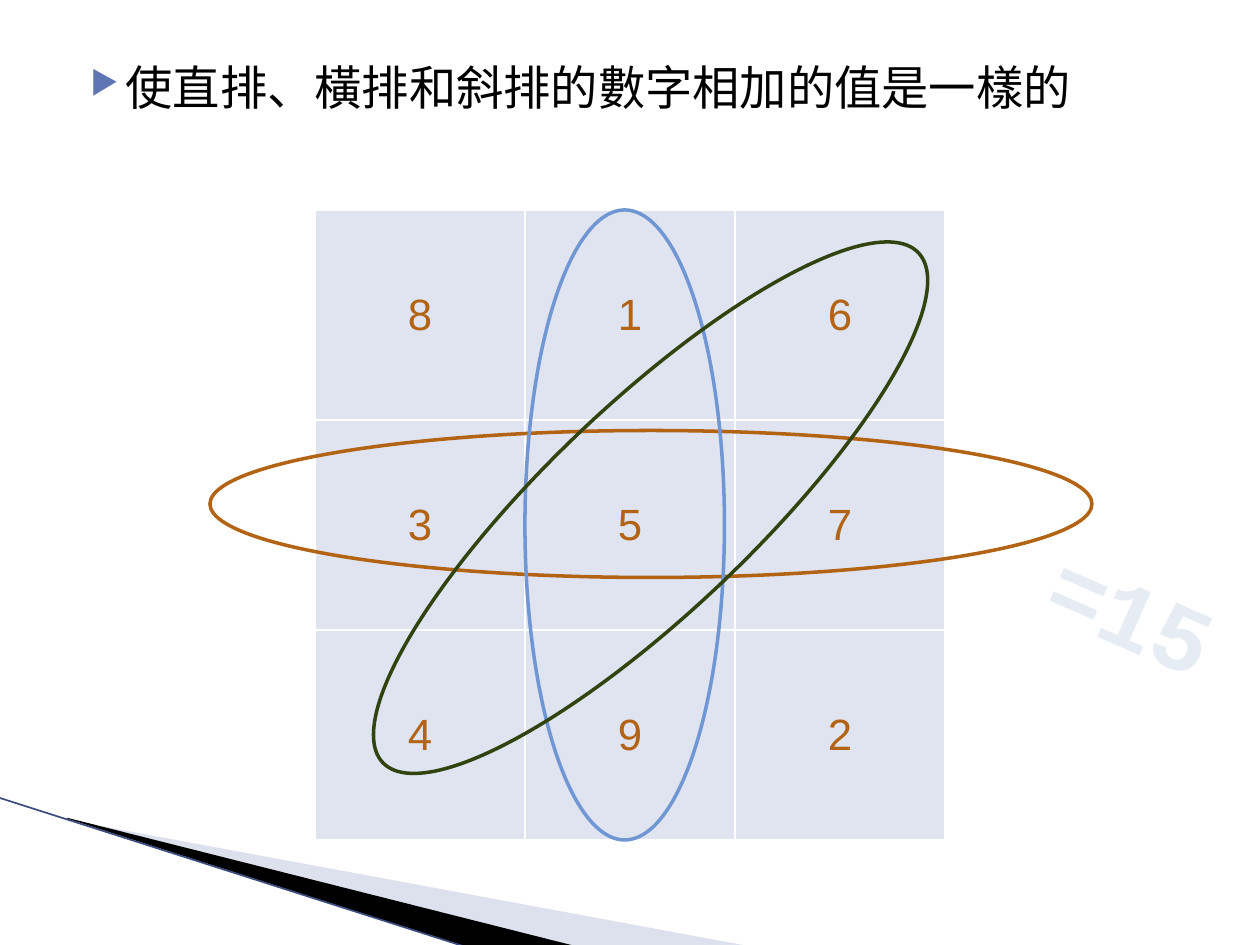
"""Build the magic square slide."""
import pptx
import pptx.util
import pptx.dml.color
import pptx.enum.shapes
import pptx.enum.text
import pptx.oxml
import pptx.oxml.ns

Pt = pptx.util.Pt
RGB = pptx.dml.color.RGBColor
SHAPE = pptx.enum.shapes.MSO_SHAPE
CENTER = pptx.enum.text.PP_ALIGN.CENTER
MIDDLE = pptx.enum.text.MSO_ANCHOR.MIDDLE
NS = pptx.oxml.ns.nsdecls("a")

BLACK = RGB(0x00, 0x00, 0x00)
WHITE = RGB(0xFF, 0xFF, 0xFF)
MIST = RGB(0xAC, 0xB4, 0xD5)
NAVY = RGB(0x3C, 0x4C, 0x80)
BLUE = RGB(0x60, 0x76, 0xB4)
PALE = RGB(0xDF, 0xE4, 0xF0)
RUST = RGB(0xB2, 0x63, 0x14)
ICE = RGB(0xE6, 0xEC, 0xF4)
SKY = RGB(0x70, 0x97, 0xD3)
OLIVE = RGB(0x31, 0x44, 0x10)

TITLE = "使直排、橫排和斜排的數字相加的值是一樣的"
SUM = "=15"
SQUARE = [(8, 1, 6), (3, 5, 7), (4, 9, 2)]
GRID = (180, 120, 360)
WEDGES = [
    ([(39.6, 468.7), (428.4, 540.7), (328.3, 540.7), (39.6, 468)], MIST, 40),
    ([(38.2, 467.3), (329, 540.7), (267.8, 541.4), (38.9, 468)], BLACK, 100),
]
EDGE = (-0.7, 455.8, 267.1, 541.4)
ROW_RING = ((120, 246, 504, 84), 0, RUST)
RINGS = [((300, 120, 114, 360), 0, SKY), ((160.5, 231, 422.6, 118.2), 316.4, OLIVE)]

TITLE_FONT = {"size": Pt(27), "name": "Courier New"}
CELL_FONT = {"size": Pt(25), "name": "Arial"}
SUM_FONT = {"size": Pt(54), "name": "Courier New", "bold": True}
CELL_FORM = {
    "vertical_anchor": MIDDLE,
    "margin_left": Pt(10),
    "margin_right": Pt(10),
    "margin_top": Pt(5),
    "margin_bottom": Pt(5),
}


def apply(item, form):
    for key, value in form.items():
        setattr(item, key, value)


def put(para, text, form, color):
    run = para.add_run()
    run.text = text
    apply(run.font, form)
    run.font.color.rgb = color


def add_wedge(shapes, points, color, alpha):
    spots = [(Pt(x), Pt(y)) for x, y in points]
    pen = shapes.build_freeform(*spots[0], scale=1.0)
    pen.add_line_segments(spots[1:], close=True)
    shape = pen.convert_to_shape()
    shape.shadow.inherit = False
    shape.fill.solid()
    shape.fill.fore_color.rgb = color
    shape.line.fill.background()
    if alpha < 100:
        tint = shape.fill._xPr.find(".//" + pptx.oxml.ns.qn("a:srgbClr"))
        tint.append(pptx.oxml.parse_xml(f'<a:alpha {NS} val="{alpha * 1000}"/>'))


def add_edge(shapes):
    line = shapes.add_connector(
        pptx.enum.shapes.MSO_CONNECTOR.STRAIGHT, *map(Pt, EDGE))
    line.line.color.rgb = NAVY
    line.line.width = Pt(0.95)
    line._element.spPr.append(pptx.oxml.parse_xml(f"<a:effectLst {NS}/>"))


def add_title(shapes):
    frame = shapes.add_textbox(*map(Pt, (36, 30, 648, 473))).text_frame
    frame.word_wrap = True
    para = frame.paragraphs[0]
    para.space_before = Pt(4)
    put(para, TITLE, TITLE_FONT, BLACK)
    props = para._p.get_or_add_pPr()
    props.set("marL", str(Pt(28.8)))
    props.set("indent", str(Pt(-20.2)))
    for part in (f'<a:buClr {NS}><a:srgbClr val="{BLUE}"/></a:buClr>',
                 f'<a:buSzPct {NS} val="68000"/>',
                 f'<a:buChar {NS} char="▶"/>'):
        props.append(pptx.oxml.parse_xml(part))


def add_square(shapes):
    left, top, side = GRID
    count = len(SQUARE)
    table = shapes.add_table(count, count, *map(Pt, (left, top, side, side))).table
    apply(table, {"first_row": False, "horz_banding": False})
    for row, values in enumerate(SQUARE):
        table.rows[row].height = table.columns[row].width = Pt(side / count)
        for col, value in enumerate(values):
            cell = table.cell(row, col)
            apply(cell, CELL_FORM)
            para = cell.text_frame.paragraphs[0]
            para.alignment = CENTER
            put(para, str(value), CELL_FONT, RUST)
            props = cell._tc.get_or_add_tcPr()
            for tag in ("lnL", "lnR", "lnT", "lnB"):
                props.append(pptx.oxml.parse_xml(
                    f'<a:{tag} {NS} w="{Pt(1)}"><a:solidFill>'
                    f'<a:srgbClr val="{WHITE}"/></a:solidFill></a:{tag}>'))
            cell.fill.solid()
            cell.fill.fore_color.rgb = PALE


def add_ring(shapes, box, turn, color):
    ring = shapes.add_shape(SHAPE.OVAL, *map(Pt, box))
    ring.shadow.inherit = False
    ring.rotation = turn
    ring.fill.background()
    ring.line.color.rgb = color
    ring.line.width = Pt(2)


def add_sum(shapes):
    box = shapes.add_textbox(*map(Pt, (584, 313.2, 126.7, 72.7)))
    box.rotation = 23.8
    box.text_frame.word_wrap = False
    para = box.text_frame.paragraphs[0]
    para.alignment = CENTER
    put(para, SUM, SUM_FONT, ICE)


def main():
    deck = pptx.Presentation()
    apply(deck, {"slide_width": Pt(720), "slide_height": Pt(540)})
    shapes = deck.slides.add_slide(deck.slide_layouts[6]).shapes
    for wedge in WEDGES:
        add_wedge(shapes, *wedge)
    add_edge(shapes)
    add_title(shapes)
    add_square(shapes)
    add_ring(shapes, *ROW_RING)
    add_sum(shapes)
    for ring in RINGS:
        add_ring(shapes, *ring)
    deck.save("out.pptx")


if __name__ == "__main__":
    main()
